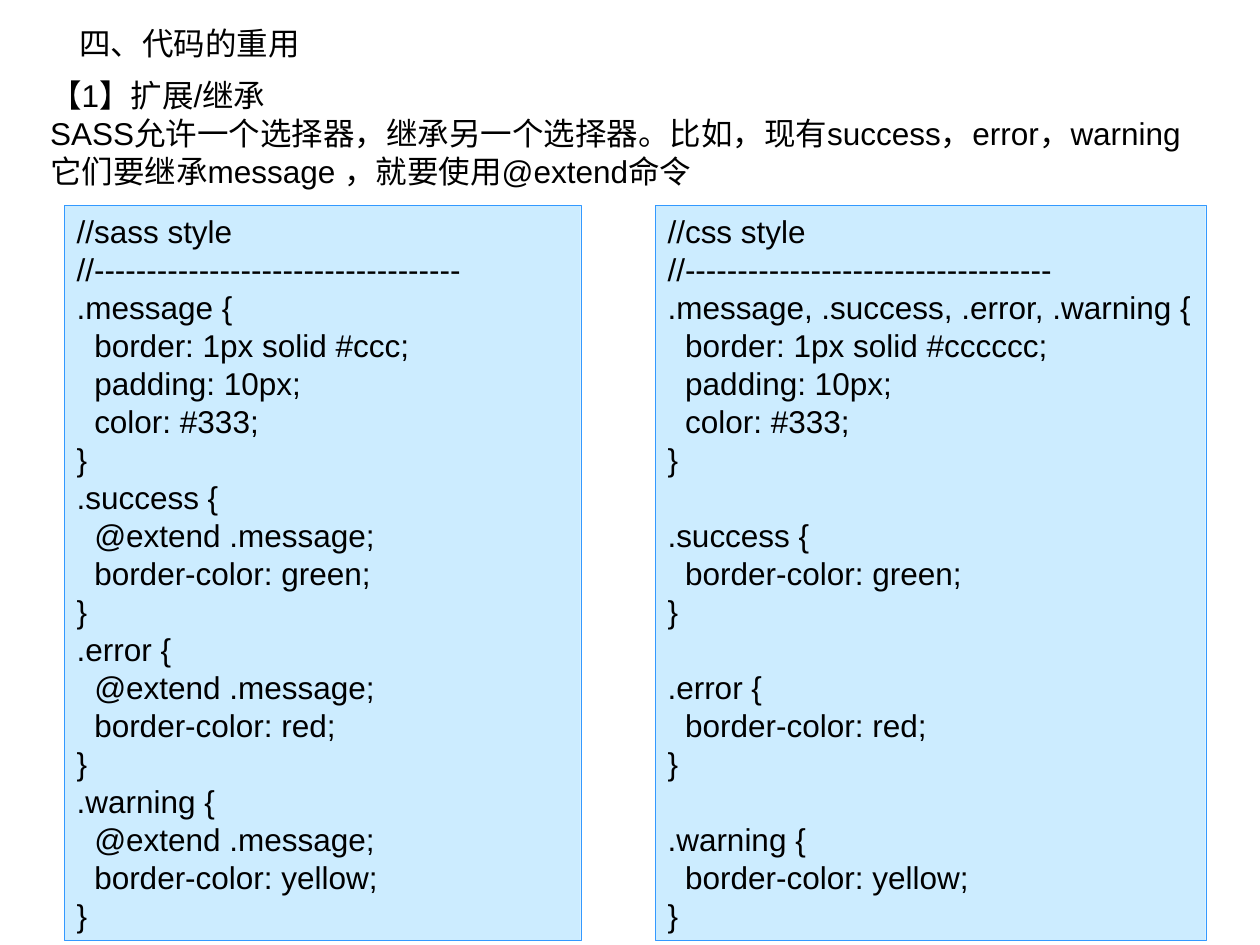
from pptx import Presentation
from pptx.dml.color import RGBColor
from pptx.enum.shapes import MSO_SHAPE
from pptx.enum.text import MSO_ANCHOR, PP_ALIGN
from pptx.util import Inches, Pt

BLACK = RGBColor(0x00, 0x00, 0x00)
PALE_BLUE = RGBColor(0xCC, 0xEC, 0xFF)
BORDER_BLUE = RGBColor(0x33, 0x99, 0xFF)

LINE_HEIGHT = Pt(21.7)
CODE_INDENT = Inches(0.14)
PANEL_TOP, PANEL_HEIGHT = 1.63, 5.83

TITLE = ["四、代码的重用"]
INTRO = [
    "【1】扩展/继承",
    "SASS允许一个选择器，继承另一个选择器。比如，现有success，error，warning",
    "它们要继承message ，就要使用@extend命令",
]
RULE = "//-----------------------------------"

# Each code block is a selector with its declarations.
SASS_BLOCKS = [
    (".message", ["border: 1px solid #ccc;", "padding: 10px;", "color: #333;"]),
    (".success", ["@extend .message;", "border-color: green;"]),
    (".error", ["@extend .message;", "border-color: red;"]),
    (".warning", ["@extend .message;", "border-color: yellow;"]),
]
CSS_BLOCKS = [
    (".message, .success, .error, .warning",
     ["border: 1px solid #cccccc;", "padding: 10px;", "color: #333;"]),
    (".success", ["border-color: green;"]),
    (".error", ["border-color: red;"]),
    (".warning", ["border-color: yellow;"]),
]

# Left, width, heading, blocks, gap between blocks
PANELS = [
    (0.51, 4.1, "//sass style", SASS_BLOCKS, Pt(0)),
    (5.2, 4.37, "//css style", CSS_BLOCKS, LINE_HEIGHT),
]


def add_line(frame, text, indent=0, gap=0):
    """Append a paragraph, filling the frame's first one if it is still empty."""
    paragraph = frame.paragraphs[0] if not frame.text else frame.add_paragraph()
    paragraph.text = text
    paragraph.alignment = PP_ALIGN.LEFT
    paragraph.line_spacing = LINE_HEIGHT
    paragraph.space_before = gap
    paragraph.font.name = "Arial"
    paragraph.font.size = Pt(18)
    paragraph.font.color.rgb = BLACK
    if indent:
        properties = paragraph._p.get_or_add_pPr()
        properties.set("marL", str(indent))
        properties.set("indent", "0")


def add_text(slide, lines, left, top, width, height):
    box = slide.shapes.add_textbox(*map(Inches, (left, top, width, height)))
    box.text_frame.word_wrap = False
    for line in lines:
        add_line(box.text_frame, line)


def add_code_panel(slide, left, width, heading, blocks, block_gap):
    panel = slide.shapes.add_shape(
        MSO_SHAPE.RECTANGLE, *map(Inches, (left, PANEL_TOP, width, PANEL_HEIGHT)))
    panel.shadow.inherit = False
    panel.fill.solid()
    panel.fill.fore_color.rgb = PALE_BLUE
    panel.line.color.rgb = BORDER_BLUE
    panel.line.width = Pt(0.25)

    frame = panel.text_frame
    frame.word_wrap = False
    frame.vertical_anchor = MSO_ANCHOR.TOP
    add_line(frame, heading)
    add_line(frame, RULE)
    for index, (selector, declarations) in enumerate(blocks):
        add_line(frame, selector + " {", gap=block_gap if index else 0)
        for declaration in declarations:
            add_line(frame, declaration, indent=CODE_INDENT)
        add_line(frame, "}")


def main():
    presentation = Presentation()
    presentation.slide_width = Inches(10)
    presentation.slide_height = Inches(7.5)
    slide = presentation.slides.add_slide(presentation.slide_layouts[6])

    add_text(slide, INTRO, 0.3, 0.55, 9.6, 1)
    for panel in PANELS:
        add_code_panel(slide, *panel)
    add_text(slide, TITLE, 0.53, 0.14, 1.95, 0.4)

    presentation.save("out.pptx")


if __name__ == "__main__":
    main()
